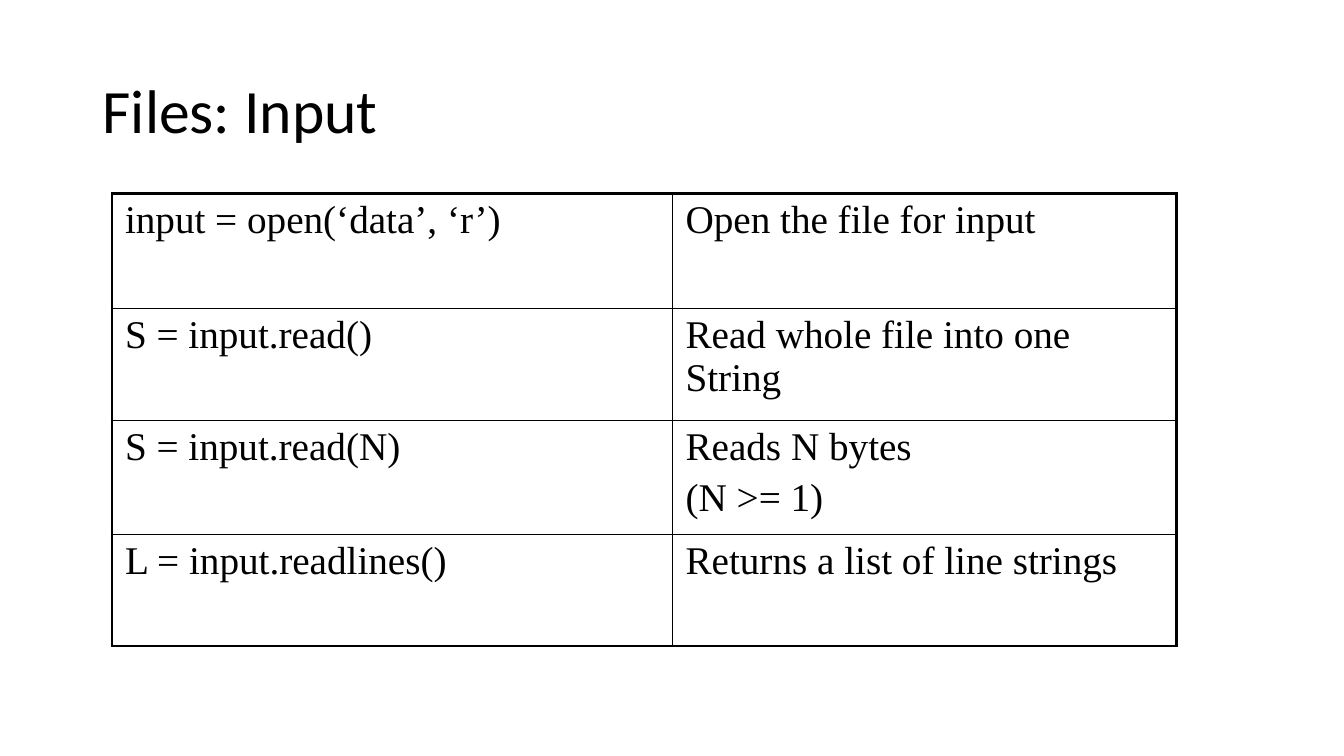
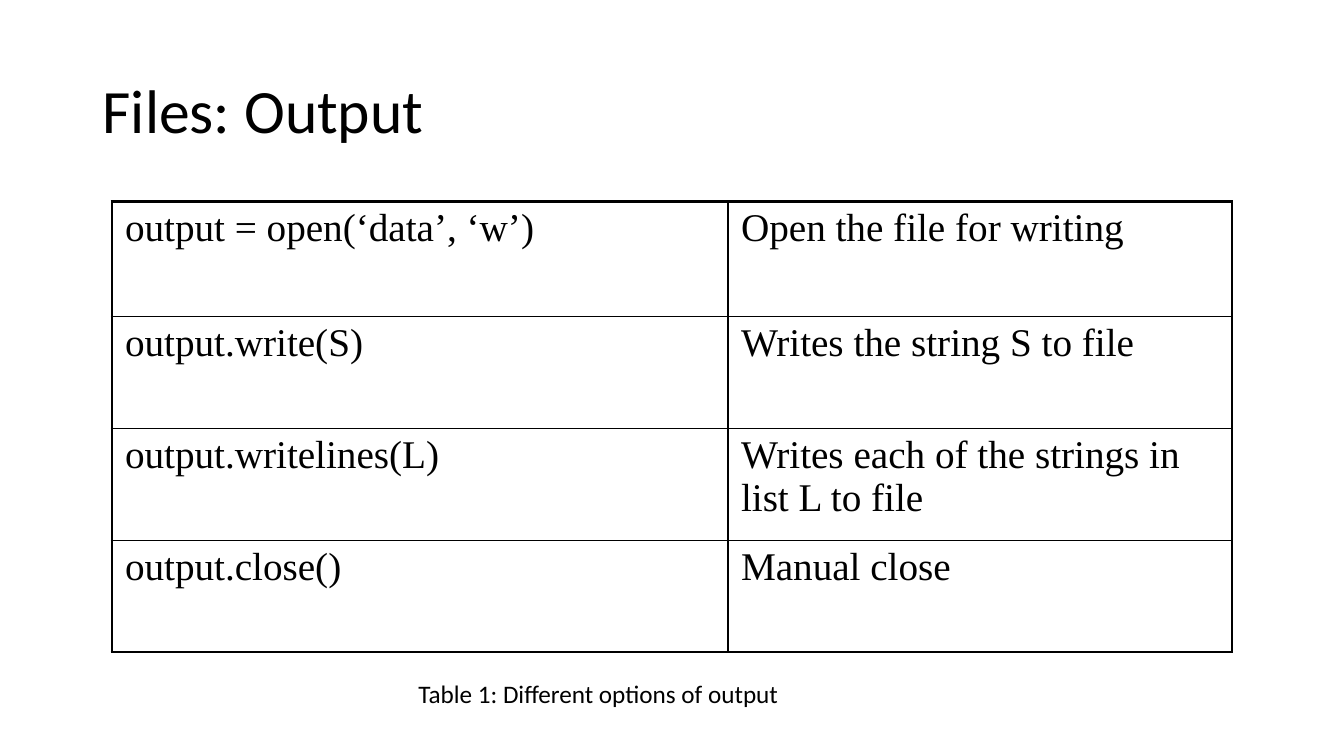
from lxml import etree
from pptx import Presentation
from pptx.dml.color import RGBColor
from pptx.enum.text import MSO_ANCHOR
from pptx.oxml.ns import qn
from pptx.util import Inches, Pt

MIDDLE = MSO_ANCHOR.MIDDLE
TOP = MSO_ANCHOR.TOP
COLORS = {"text": "000000", "border": "000000"}
HEADING_FONT = "Calibri"
TABLE_FONT = "Times New Roman"
OUTER_LINE, INNER_LINE = Pt(2.25), Pt(1)

SLIDES = [
    {
        "title": "Files: Input",
        "top": 1.92,
        "columns": [5.56, 5],
        "heights": [1.14, 1.11, 1.13, 1.11],
        "rows": [
            ("input = open(‘data’, ‘r’)", "Open the file for input"),
            ("S = input.read()", "Read whole file into one String"),
            ("S = input.read(N)", "Reads N bytes\n(N >= 1)"),
            ("L = input.readlines()", "Returns a list of line strings"),
        ],
        "caption": None,
    },
    {
        "title": "Files: Output",
        "top": 2,
        "columns": [6.11, 5],
        "heights": [1.14, 1.11, 1.11, 1.11],
        "rows": [
            ("output = open(‘data’, ‘w’)", "Open the file for writing"),
            ("output.write(S)", "Writes the string S to file"),
            ("output.writelines(L)", "Writes each of the strings in list L to file"),
            ("output.close()", "Manual close"),
        ],
        "caption": "Table 1: Different options of output",
    },
]


def write_text(text_frame, text, font, size):
    text_frame.text = text
    text_frame.word_wrap = True
    for paragraph in text_frame.paragraphs:
        for run in paragraph.runs:
            run.font.name = font
            run.font.size = Pt(size)
            run.font.color.rgb = RGBColor.from_string(COLORS["text"])


def set_borders(cell, widths):
    # Border lines have to come before the fill in the cell properties
    properties = cell._tc.get_or_add_tcPr()
    for position, (side, width) in enumerate(widths.items()):
        line = etree.Element(qn(f"a:ln{side}"), w=str(width))
        fill = etree.SubElement(line, qn("a:solidFill"))
        etree.SubElement(fill, qn("a:srgbClr"), val=COLORS["border"])
        properties.insert(position, line)


presentation = Presentation()
presentation.slide_width = Inches(13.33)
presentation.slide_height = Inches(7.5)
blank_layout = presentation.slide_layouts[6]

for content in SLIDES:
    slide = presentation.slides.add_slide(blank_layout)

    # Title
    title = slide.shapes.add_textbox(Inches(0.92), Inches(0.4), Inches(11.5), Inches(1.45))
    write_text(title.text_frame, content["title"], HEADING_FONT, 44)
    title.text_frame.vertical_anchor = MIDDLE
    title.text_frame.paragraphs[0].line_spacing = 0.9

    # Table grid
    rows, columns, heights = content["rows"], content["columns"], content["heights"]
    table = slide.shapes.add_table(
        len(rows), len(columns), Inches(1.11), Inches(content["top"]),
        Inches(sum(columns)), Inches(sum(heights)),
    ).table
    table.first_row = False
    table.horz_banding = False
    for column, width in zip(table.columns, columns):
        column.width = Inches(width)
    for row, height in zip(table.rows, heights):
        row.height = Inches(height)

    # Cells, with a heavier line around the table
    last_row, last_column = len(rows) - 1, len(columns) - 1
    for row_index, texts in enumerate(rows):
        for column_index, text in enumerate(texts):
            cell = table.cell(row_index, column_index)
            cell.fill.background()
            cell.vertical_anchor = TOP
            cell.margin_left = cell.margin_right = Inches(0.13)
            cell.margin_top = cell.margin_bottom = Inches(0.05)
            write_text(cell.text_frame, text, TABLE_FONT, 28)
            for paragraph in cell.text_frame.paragraphs[1:]:
                paragraph.space_before = Pt(5.6)
            at_edge = {
                "L": column_index == 0,
                "R": column_index == last_column,
                "T": row_index == 0,
                "B": row_index == last_row,
            }
            set_borders(cell, {
                side: OUTER_LINE if edge else INNER_LINE for side, edge in at_edge.items()
            })

    # Caption
    if content["caption"]:
        caption = slide.shapes.add_textbox(Inches(4.05), Inches(6.68), Inches(4.11), Inches(0.4))
        write_text(caption.text_frame, content["caption"], HEADING_FONT, 18)

presentation.save("out.pptx")
